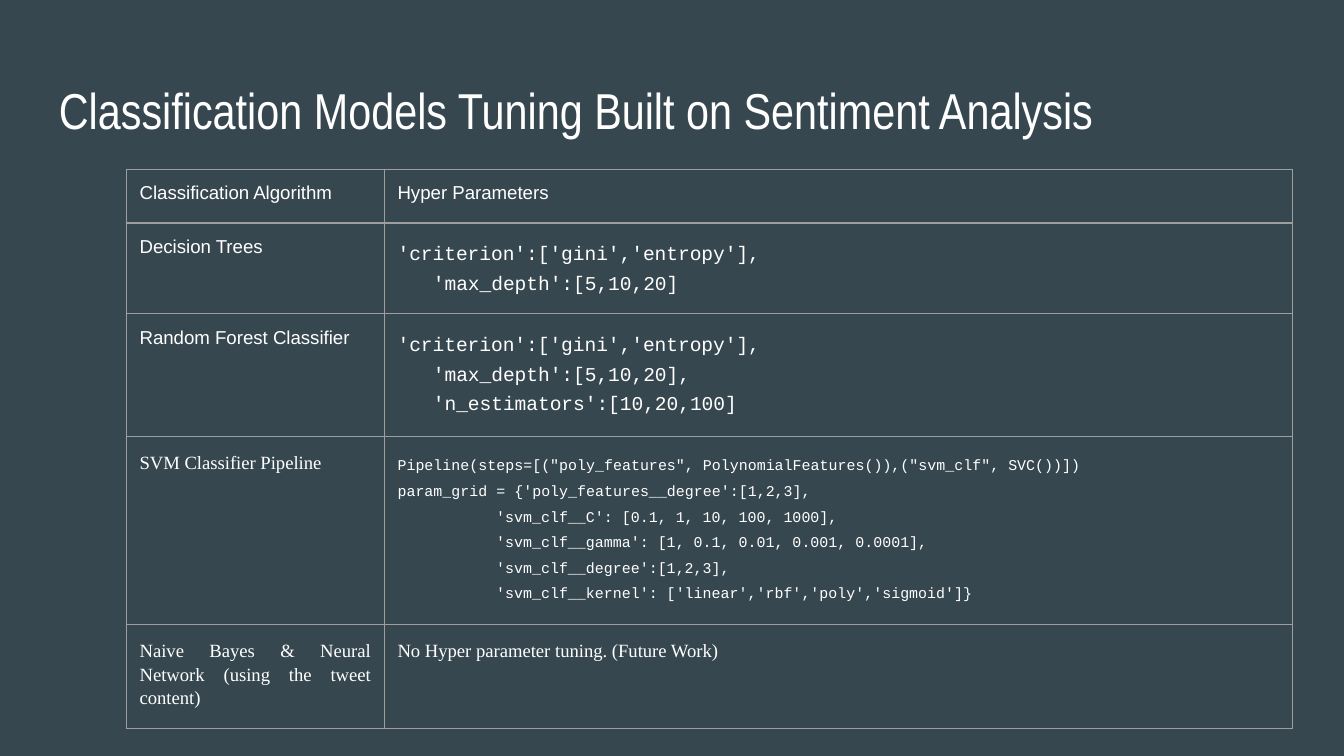
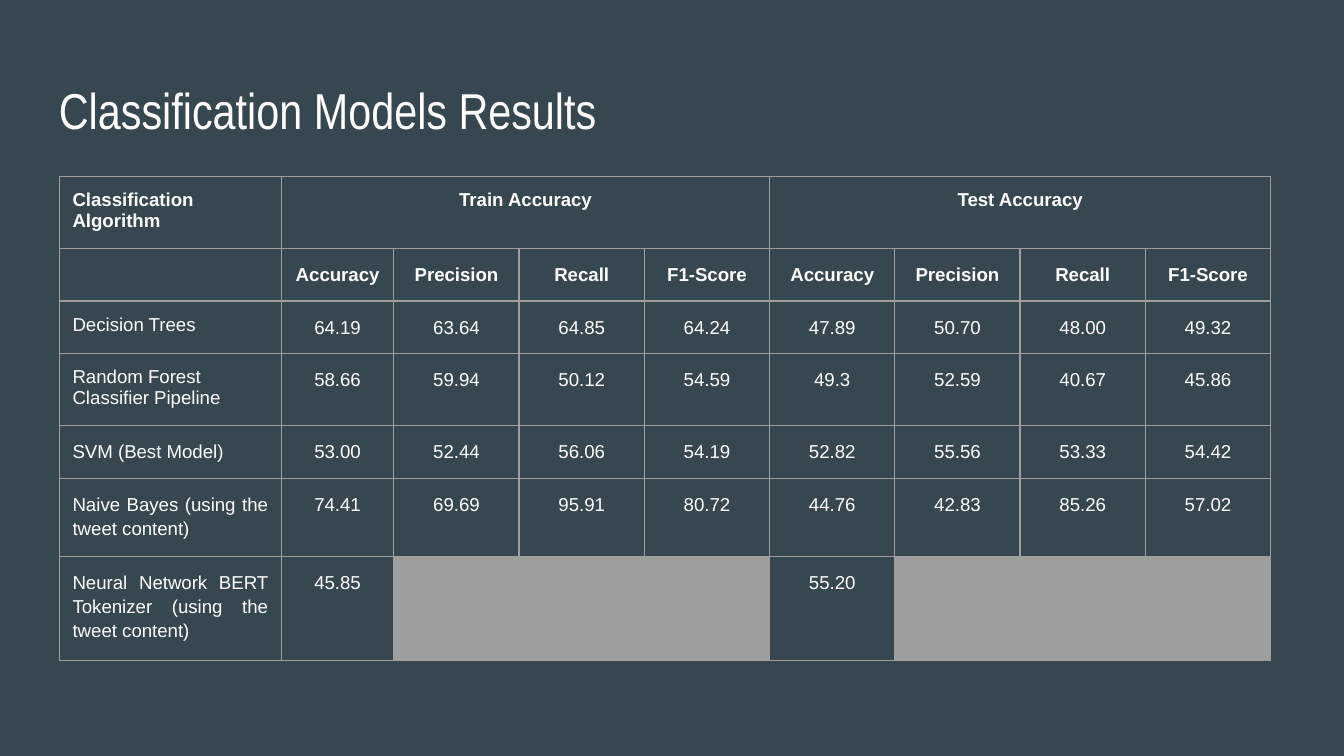
from collections import namedtuple

from lxml.etree import SubElement
from pptx import Presentation
from pptx.dml.color import RGBColor
from pptx.enum.text import PP_ALIGN
from pptx.oxml.ns import qn
from pptx.util import Pt

BACKGROUND = RGBColor(0x37, 0x47, 0x4F)
WHITE = RGBColor(0xFF, 0xFF, 0xFF)
GRAY = RGBColor(0x9E, 0x9E, 0x9E)
INSET = Pt(7.2)
BORDER_WIDTH = Pt(0.75)
COURIER_ADVANCE = 0.6  # character width as a share of the font size

Style = namedtuple("Style", "font size bold align line_spacing space",
                   defaults=("Arial", 10, False, PP_ALIGN.LEFT, 1.0, 0))
TITLE = Style("Arial Narrow", 27)
LABEL = Style()
HEADING = Style(bold=True)
GROUP = Style(bold=True, align=PP_ALIGN.CENTER)
MEASURE = Style(bold=True, align=PP_ALIGN.CENTER, line_spacing=1.15, space=12)
SCORE = MEASURE._replace(bold=False)
JUSTIFIED = Style(align=PP_ALIGN.JUSTIFY, line_spacing=1.15, space=12)
SERIF = JUSTIFIED._replace(font="Times New Roman")
CODE = Style("Courier New", 10.5, line_spacing=1.36)
SMALL_CODE = Style("Courier New", 8, line_spacing=1.5)

# Each row: label, label style, lines as (indent in characters, text), line style
TUNING_TITLE = "Classification Models Tuning Built on Sentiment Analysis"
TUNING_FRAME = (67.6, 90.7, 624.9, 295.2)
TUNING_COLUMNS = [138.2, 486.7]
TUNING_HEIGHTS = [28.8, 31, 48.2, 31, 45.4]
TUNING_ROWS = [
    ("Classification Algorithm", LABEL, [(0, "Hyper Parameters")], LABEL),
    ("Decision Trees", LABEL, [
        (0, "'criterion':['gini','entropy'],"),
        (3, "'max_depth':[5,10,20]"),
    ], CODE),
    ("Random Forest Classifier", LABEL, [
        (0, "'criterion':['gini','entropy'],"),
        (3, "'max_depth':[5,10,20],"),
        (3, "'n_estimators':[10,20,100]"),
    ], CODE),
    ("SVM Classifier Pipeline", SERIF, [
        (0, 'Pipeline(steps=[("poly_features", PolynomialFeatures()),("svm_clf", SVC())])'),
        (0, "param_grid = {'poly_features__degree':[1,2,3],"),
        (11, "'svm_clf__C': [0.1, 1, 10, 100, 1000],"),
        (11, "'svm_clf__gamma': [1, 0.1, 0.01, 0.001, 0.0001],"),
        (11, "'svm_clf__degree':[1,2,3],"),
        (11, "'svm_clf__kernel': ['linear','rbf','poly','sigmoid']}"),
    ], SMALL_CODE),
    ("Naive Bayes & Neural Network (using the tweet content)", SERIF,
     [(0, "No Hyper parameter tuning. (Future Work)")], SERIF),
]

RESULTS_TITLE = "Classification Models Results"
RESULTS_FRAME = (31.7, 94.5, 236.2, 236.2)
RESULTS_COLUMNS = [119, 60.3] + [67.1] * 7
RESULTS_HEIGHTS = [36, 24.5, 24.5, 36, 24.5, 37.4, 43.9]
GROUPS = ["Train Accuracy", "Test Accuracy"]
MEASURES = ["Accuracy", "Precision", "Recall", "F1-Score"]
RESULTS = [
    ("Decision Trees", LABEL,
     ["64.19", "63.64", "64.85", "64.24", "47.89", "50.70", "48.00", "49.32"]),
    ("Random Forest Classifier Pipeline", LABEL,
     ["58.66", "59.94", "50.12", "54.59", "49.3", "52.59", "40.67", "45.86"]),
    ("SVM (Best Model)", JUSTIFIED,
     ["53.00", "52.44", "56.06", "54.19", "52.82", "55.56", "53.33", "54.42"]),
    ("Naive Bayes (using the tweet content)", JUSTIFIED,
     ["74.41", "69.69", "95.91", "80.72", "44.76", "42.83", "85.26", "57.02"]),
    ("Neural Network BERT Tokenizer (using the tweet content)", JUSTIFIED,
     ["45.85", None, None, None, "55.20", None, None, None]),
]


def set_margins(target):
    target.margin_left = target.margin_right = INSET
    target.margin_top = target.margin_bottom = INSET


def set_fill(target, color):
    target.fill.solid()
    target.fill.fore_color.rgb = color


def write_lines(text_frame, lines, style):
    """Write (indent in characters, text) pairs, one paragraph each."""
    text_frame.text = "\n".join(text for _, text in lines)
    for paragraph, (indent, _) in zip(text_frame.paragraphs, lines):
        paragraph.alignment = style.align
        paragraph.line_spacing = style.line_spacing
        paragraph.space_before = paragraph.space_after = Pt(style.space)
        if indent:
            margin = Pt(indent * style.size * COURIER_ADVANCE)
            paragraph._p.get_or_add_pPr().set("marL", str(margin))
        for run in paragraph.runs:
            run.font.name = style.font
            run.font.size = Pt(style.size)
            run.font.bold = style.bold
            run.font.color.rgb = WHITE


def write_cell(cell, text, style):
    write_lines(cell.text_frame, [(0, text)], style)


def add_borders(cell):
    properties = cell._tc.get_or_add_tcPr()
    for side in ("a:lnL", "a:lnR", "a:lnT", "a:lnB"):
        line = SubElement(properties, qn(side), w=str(BORDER_WIDTH))
        fill = SubElement(line, qn("a:solidFill"))
        SubElement(fill, qn("a:srgbClr"), val=str(GRAY))


def add_titled_slide(presentation, title):
    slide = presentation.slides.add_slide(presentation.slide_layouts[6])
    set_fill(slide.background, BACKGROUND)
    box = slide.shapes.add_textbox(Pt(24.5), Pt(35.3), Pt(671), Pt(45.4))
    box.text_frame.word_wrap = True
    set_margins(box.text_frame)
    write_lines(box.text_frame, [(0, title)], TITLE)
    return slide


def add_plain_table(slide, frame, widths, heights):
    """Add a table in the slide's colour with thin gray borders."""
    left, top, width, height = (Pt(length) for length in frame)
    shape = slide.shapes.add_table(
        len(heights), len(widths), left, top, width, height)
    table = shape.table
    table.first_row = table.horz_banding = False
    for column, column_width in zip(table.columns, widths):
        column.width = Pt(column_width)
    for row, row_height in zip(table.rows, heights):
        row.height = Pt(row_height)
    # Rows grow with their text, so the frame keeps its own size.
    shape.width, shape.height = width, height
    for cell in table.iter_cells():
        set_margins(cell)
        add_borders(cell)
        set_fill(cell, BACKGROUND)
        end_properties = cell.text_frame.paragraphs[0]._p.get_or_add_endParaRPr()
        end_properties.set("sz", str(LABEL.size * 100))
    return table


def build_tuning_slide(presentation):
    slide = add_titled_slide(presentation, TUNING_TITLE)
    table = add_plain_table(slide, TUNING_FRAME, TUNING_COLUMNS, TUNING_HEIGHTS)
    for row, (label, label_style, lines, line_style) in enumerate(TUNING_ROWS):
        write_cell(table.cell(row, 0), label, label_style)
        write_lines(table.cell(row, 1).text_frame, lines, line_style)


def build_results_slide(presentation):
    slide = add_titled_slide(presentation, RESULTS_TITLE)
    table = add_plain_table(slide, RESULTS_FRAME, RESULTS_COLUMNS, RESULTS_HEIGHTS)
    write_cell(table.cell(0, 0), "Classification Algorithm", HEADING)
    span = len(MEASURES)
    for index, group in enumerate(GROUPS):
        first = 1 + index * span
        table.cell(0, first).merge(table.cell(0, first + span - 1))
        write_cell(table.cell(0, first), group, GROUP)
        for column, measure in enumerate(MEASURES, first):
            write_cell(table.cell(1, column), measure, MEASURE)
    for row, (label, style, scores) in enumerate(RESULTS, 2):
        write_cell(table.cell(row, 0), label, style)
        for column, score in enumerate(scores, 1):
            cell = table.cell(row, column)
            if score is None:
                set_fill(cell, GRAY)
            else:
                write_cell(cell, score, SCORE)


def main():
    presentation = Presentation()
    presentation.slide_width = Pt(720)
    presentation.slide_height = Pt(405)
    build_tuning_slide(presentation)
    build_results_slide(presentation)
    presentation.save("out.pptx")


if __name__ == "__main__":
    main()
